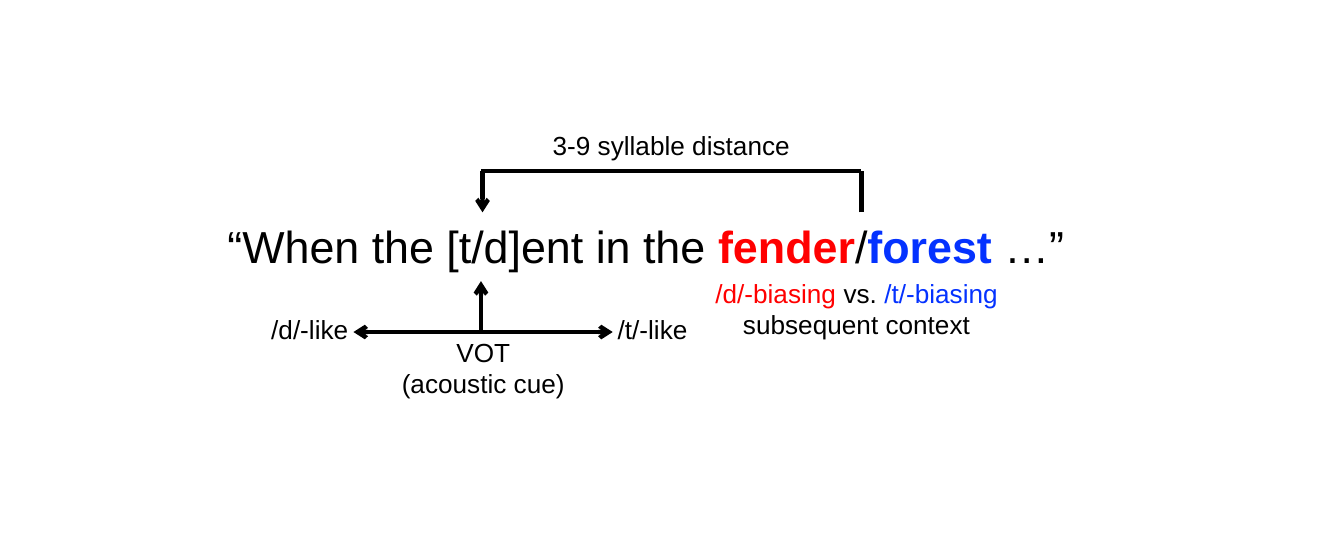
from dataclasses import dataclass

from lxml.etree import SubElement
from pptx import Presentation
from pptx.dml.color import RGBColor
from pptx.enum.shapes import MSO_CONNECTOR
from pptx.enum.text import MSO_AUTO_SIZE, PP_ALIGN
from pptx.oxml.ns import qn
from pptx.util import Cm, Pt


@dataclass(frozen=True)
class Theme:
    font: str = "Arial"
    ink: str = "000000"
    red: str = "FF0000"
    blue: str = "0432FF"
    large: float = 24
    small: float = 14
    stroke: float = 2.25


class Board:
    def __init__(self, slide, theme):
        self.slide = slide
        self.theme = theme

    def text(self, left, top, width, height, *lines, size=None):
        """Each line is a list of (words, colour, bold) runs."""
        box = self.slide.shapes.add_textbox(Cm(left), Cm(top), Cm(width), Cm(height))
        frame = box.text_frame
        frame.word_wrap = True
        frame.auto_size = MSO_AUTO_SIZE.SHAPE_TO_FIT_TEXT
        for i, line in enumerate(lines):
            para = frame.add_paragraph() if i else frame.paragraphs[0]
            para.alignment = PP_ALIGN.CENTER
            for words, color, bold in line:
                run = para.add_run()
                run.text = words
                run.font.name = self.theme.font
                run.font.size = Pt(size or self.theme.small)
                run.font.bold = bold
                run.font.color.rgb = RGBColor.from_string(color)

    def line(self, start, end, *tips):
        """Tips are "headEnd" (at start) and "tailEnd" (at end), in that order."""
        link = self.slide.shapes.add_connector(
            MSO_CONNECTOR.STRAIGHT, *map(Cm, start + end))
        link.line.width = Pt(self.theme.stroke)
        link.line.color.rgb = RGBColor.from_string(self.theme.ink)
        props = link.element.spPr
        for tip in tips:
            SubElement(props.find(qn("a:ln")), qn(f"a:{tip}"), type="arrow")
        SubElement(props, qn("a:effectLst"))


def main():
    deck = Presentation()
    deck.slide_width, deck.slide_height = Cm(25.4), Cm(10.16)
    theme = Theme()
    board = Board(deck.slides.add_slide(deck.slide_layouts[6]), theme)

    def plain(words):
        return [(words, theme.ink, False)]

    # Sentence
    top = 4.01
    board.text(1.88, top, 20.65, 1.27, [
        ("“When the [t/d]ent in the ", theme.ink, False),
        ("fender", theme.red, True),
        ("/", theme.ink, False),
        ("forest", theme.blue, True),
        (" …”", theme.ink, False),
    ], size=theme.large)

    # Acoustic cue axis
    cue, axis = 9.09, 6.27
    board.line((cue, axis), (cue, 5.31), "tailEnd")
    board.line((11.58, axis), (6.68, axis), "headEnd", "tailEnd")
    board.text(6.76, 6.22, 4.75, 1.45, plain("VOT"), plain("(acoustic cue)"))
    for left, words in ((3.48, "/d/-like"), (9.96, "/t/-like")):
        board.text(left, 5.79, 4.75, 0.86, plain(words))

    # Distance bracket
    target, source, roof = 9.12, 16.28, 3.23
    board.line((source, top), (source, roof))
    board.line((source, roof), (cue, roof))
    board.line((target, roof), (target, top), "tailEnd")
    board.text(8.84, 2.31, 7.7, 0.86, plain("3-9 syllable distance"))

    # Subsequent context
    board.text(12.34, 5.11, 7.7, 1.45, [
        ("/d/-biasing ", theme.red, False),
        ("vs. ", theme.ink, False),
        ("/t/-biasing", theme.blue, False),
    ], plain("subsequent context"))

    deck.save("out.pptx")


if __name__ == "__main__":
    main()
